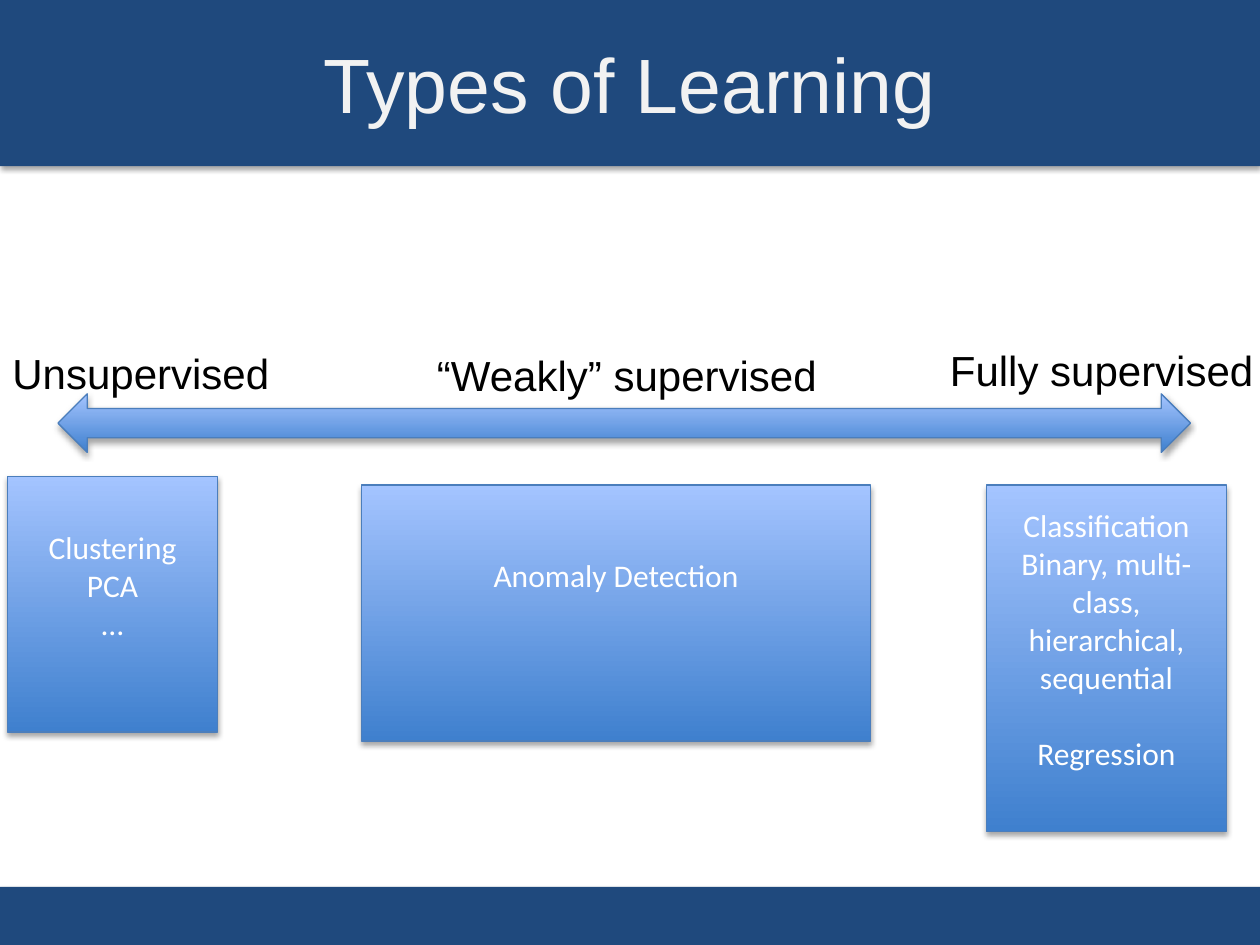
from pptx import Presentation
from pptx.dml.color import RGBColor
from pptx.enum.shapes import MSO_SHAPE
from pptx.enum.text import MSO_ANCHOR, PP_ALIGN
from pptx.util import Cm, Pt

RECT, ARROW = MSO_SHAPE.RECTANGLE, MSO_SHAPE.LEFT_RIGHT_ARROW
LEFT, CENTER = PP_ALIGN.LEFT, PP_ALIGN.CENTER
TOP, MIDDLE = MSO_ANCHOR.TOP, MSO_ANCHOR.MIDDLE

COLORS = {"navy": "1F497D", "title": "F2F2F2", "black": "000000",
          "white": "FFFFFF", "deep": "3F80CE", "pale": "A4C4FF",
          "edge": "4B7EBC"}
WIDE, HIGH = 25.4, 19.05
LINE = 0.77  # height of one 18 pt text line, in cm


def color(name):
    return RGBColor.from_string(COLORS[name])


def write(shape, lines, size=18, font="Calibri", ink="white", align=CENTER,
          anchor=MIDDLE, wrap=True, gaps=None, spare=0):
    """Fill a shape with text; gaps maps line numbers to points before them,
    spare is the number of lines left free at the bottom."""
    frame = shape.text_frame
    frame.word_wrap = wrap
    frame.vertical_anchor = anchor
    frame.margin_bottom = Cm(0.13 + spare * LINE)
    for i, line in enumerate(lines):
        para = frame.paragraphs[0] if i == 0 else frame.add_paragraph()
        para.alignment = align
        if gaps and i in gaps:
            para.space_before = Pt(gaps[i])
        run = para.add_run()
        run.text = line
        run.font.size = Pt(size)
        run.font.name = font
        run.font.color.rgb = color(ink)


def add_bar(slide, top, height):
    bar = slide.shapes.add_shape(RECT, 0, Cm(top), Cm(WIDE), Cm(height))
    bar.fill.solid()
    bar.fill.fore_color.rgb = color("navy")
    bar.line.fill.background()


def add_label(slide, box, text, **style):
    label = slide.shapes.add_textbox(*map(Cm, box))
    write(label, [text], font="Arial", **style)


def add_glossy(slide, kind, box):
    """Add a shape with the blue gradient; the theme gives its soft shadow."""
    shape = slide.shapes.add_shape(kind, *map(Cm, box))
    shape.fill.gradient()
    shape.fill.gradient_angle = 90
    for stop, name, place in zip(shape.fill.gradient_stops,
                                 ("deep", "pale"), (0, 1)):
        stop.color.rgb = color(name)
        stop.position = place
    shape.line.color.rgb = color("edge")
    shape.line.width = Pt(0.75)
    return shape


def main():
    deck = Presentation()
    deck.slide_width, deck.slide_height = Cm(WIDE), Cm(HIGH)
    slide = deck.slides.add_slide(deck.slide_layouts[6])

    add_bar(slide, 17.88, 1.17)
    add_bar(slide, 0, 3.35)
    add_label(slide, (0, 0.08, WIDE, 3.18), "Types of Learning",
              size=44, ink="title")

    labels = [(0, 6.88, 5.74, "Unsupervised"),
              (8.56, 6.93, 8.23, "“Weakly” supervised"),
              (18.9, 6.83, 6.68, "Fully supervised")]
    for left, top, width, text in labels:
        add_label(slide, (left, top, width, 1.27), text, size=24, ink="black",
                  align=LEFT, anchor=TOP, wrap=False)

    add_glossy(slide, ARROW, (1.17, 7.94, 22.83, 1.18))

    cards = [
        ((0.15, 9.6, 4.24, 5.16), ["Clustering", "PCA", "…"], None, 1),
        ((7.29, 9.78, 10.26, 5.16), ["Anomaly Detection"], None, 2),
        ((19.89, 9.78, 4.83, 6.98),
         ["Classification", "Binary, multi-class, hierarchical, sequential",
          "Regression"], {2: 22}, 1),
    ]
    for box, lines, gaps, spare in cards:
        write(add_glossy(slide, RECT, box), lines, gaps=gaps, spare=spare)

    deck.save("out.pptx")


if __name__ == "__main__":
    main()
